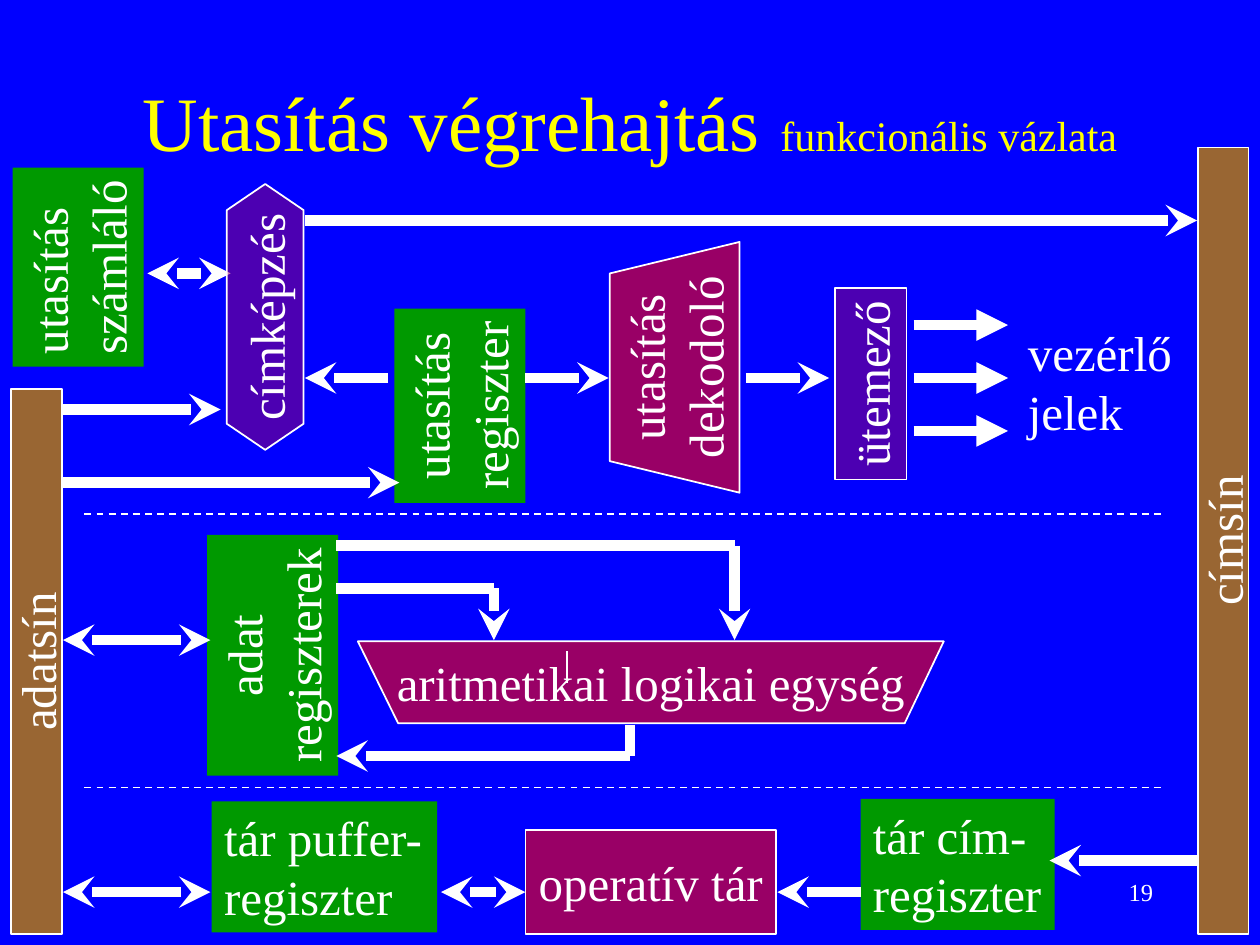
"""Build the functional sketch of instruction execution as one slide."""
from dataclasses import dataclass
from lxml.etree import SubElement
from pptx import Presentation
from pptx.dml.color import RGBColor
from pptx.enum.dml import MSO_LINE
from pptx.enum.shapes import MSO_CONNECTOR, MSO_SHAPE
from pptx.enum.text import MSO_ANCHOR, MSO_AUTO_SIZE, PP_ALIGN
from pptx.oxml.ns import qn
from pptx.util import Inches, Pt


@dataclass(frozen=True)
class Theme:
    """Colours, type sizes and line widths."""
    face: str = "Times New Roman"
    back: str = "0000FF"
    title: str = "FFFF00"
    ink: str = "FFFFFF"
    store: str = "009900"
    unit: str = "990066"
    bus: str = "996633"
    big: int = 44
    sub: int = 24
    body: int = 28
    small: int = 14
    thin: int = 1
    thick: int = 6


class Sketch:
    """Holds the theme and the current slide."""

    def __init__(self, theme, slide):
        """Keep the theme and paint the background."""
        self.theme, self.slide = theme, slide
        fill = slide.background.fill
        fill.solid()
        fill.fore_color.rgb = RGBColor.from_string(theme.back)

    def letter(self, shape, rows, align, anchor=MSO_ANCHOR.MIDDLE, wrap=False, grow=False):
        """Fill a shape with rows of (text, size, colour) runs."""
        frame = shape.text_frame
        frame.word_wrap = wrap
        frame.vertical_anchor = anchor
        frame.auto_size = MSO_AUTO_SIZE.SHAPE_TO_FIT_TEXT if grow else MSO_AUTO_SIZE.NONE
        for i, row in enumerate(rows):
            para = frame.add_paragraph() if i else frame.paragraphs[0]
            para.alignment = align
            for text, size, tint in row:
                run = para.add_run()
                run.text = text
                run.font.name = self.theme.face
                run.font.size = Pt(size)
                run.font.color.rgb = RGBColor.from_string(tint)

    def plain(self, lines):
        """Turn lines of text into rows in the body style."""
        return [[(line, self.theme.body, self.theme.ink)] for line in lines]

    def label(self, at, rows, align=PP_ALIGN.LEFT, **style):
        """Add a text box."""
        box = self.slide.shapes.add_textbox(*map(Inches, at))
        self.letter(box, rows, align, **style)

    def paint(self, shape, tint, edge=True, clear=False):
        """Set fill, outline and shadow."""
        shape.shadow.inherit = False
        shape.fill.solid()
        shape.fill.fore_color.rgb = RGBColor.from_string(tint)
        if clear:
            color = shape._element.spPr.find(qn("a:solidFill")).find(qn("a:srgbClr"))
            SubElement(color, qn("a:alpha"), val="50000")
        if edge:
            shape.line.color.rgb = RGBColor.from_string(self.theme.ink)
            shape.line.width = Pt(self.theme.thin)
        else:
            shape.line.fill.background()

    def block(self, at, lines, tint, turn=True, kind=MSO_SHAPE.RECTANGLE,
              edge=True, clear=False, align=PP_ALIGN.CENTER, **style):
        """Add a preset shape, turned to read upward if asked."""
        shape = self.slide.shapes.add_shape(kind, *map(Inches, at))
        shape.rotation = 270 if turn else 0
        self.paint(shape, tint, edge, clear)
        self.letter(shape, self.plain(lines), align, **style)
        return shape

    def store(self, at, lines, **style):
        """Add a green register."""
        self.block(at, lines, self.theme.store, edge=False,
                   anchor=MSO_ANCHOR.TOP, grow=True, **style)

    def wedge(self, points, lines, turn=False):
        """Add a trapezoid from its corners."""
        first, *rest = [(Inches(x), Inches(y)) for x, y in points]
        pen = self.slide.shapes.build_freeform(*first)
        pen.add_line_segments(rest, close=True)
        shape = pen.convert_to_shape()
        self.paint(shape, self.theme.unit)
        self.letter(shape, self.plain(lines), PP_ALIGN.CENTER)
        if turn:
            shape._element.txBody.bodyPr.set("vert", "vert270")

    def line(self, x1, y1, x2, y2, tip=None, both=False, thin=False, dash=False):
        """Add a straight line with an optional tip at the end or both ends."""
        link = self.slide.shapes.add_connector(
            MSO_CONNECTOR.STRAIGHT, *map(Inches, (x1, y1, x2, y2)))
        link.line.color.rgb = RGBColor.from_string(self.theme.ink)
        link.line.width = Pt(self.theme.thin if thin else self.theme.thick)
        if dash:
            link.line.dash_style = MSO_LINE.DASH
        pen = link._element.spPr.find(qn("a:ln"))
        if both:
            SubElement(pen, qn("a:headEnd"), type=tip)
        if tip:
            SubElement(pen, qn("a:tailEnd"), type=tip)
        SubElement(link._element.spPr, qn("a:effectLst"))


def main():
    """Draw the slide and save it."""
    deck = Presentation()
    deck.slide_width, deck.slide_height = Inches(10), Inches(7.5)
    look = Theme()
    art = Sketch(look, deck.slides.add_slide(deck.slide_layouts[6]))

    art.label((0.75, 0.33, 8.5, 1.25),
              [[("Utasítás végrehajtás ", look.big, look.title),
                ("funkcionális vázlata", look.sub, look.title)]],
              PP_ALIGN.CENTER, wrap=True)

    art.store((-0.17, 1.6, 1.58, 1.04), ("utasítás", "számláló"), align=PP_ALIGN.LEFT)
    art.store((2.88, 2.7, 1.54, 1.04), ("utasítás", "regiszter"))
    art.block((6.15, 2.76, 1.52, 0.57), ("ütemező",), look.unit, clear=True,
              anchor=MSO_ANCHOR.TOP, grow=True)
    art.label((8.06, 2.51, 1.34, 1.04), art.plain(("vezérlő", "jelek")),
              anchor=MSO_ANCHOR.TOP, grow=True)
    art.store((1.21, 4.68, 1.91, 1.04), ("adat", "regiszterek"))
    art.store((1.68, 6.36, 1.79, 1.04), ("tár puffer-", "regiszter"),
              turn=False, align=PP_ALIGN.LEFT)
    art.store((6.83, 6.34, 1.54, 1.04), ("tár cím-", "regiszter"),
              turn=False, align=PP_ALIGN.LEFT)
    art.wedge([(5.87, 3.91), (5.87, 1.92), (4.84, 2.17), (4.84, 3.66)],
              ("utasítás", "dekodoló"), turn=True)
    art.wedge([(2.84, 5.09), (7.49, 5.09), (7.18, 5.74), (3.16, 5.74)],
              ("aritmetikai logikai egység",))
    art.block((6.59, 4.09, 6.24, 0.4), ("címsín",), look.bus)
    art.block((-1.87, 5.05, 4.32, 0.4), ("adatsín",), look.bus)
    art.block((4.17, 6.59, 1.99, 0.82), ("operatív tár",), look.unit, turn=False)

    for ends in ((5, 5.75, 5, 6), (3.92, 4.67, 2.67, 4.67), (5.83, 4.33, 2.67, 4.33)):
        art.line(*ends)
    for y in (2.58, 3, 3.42):
        art.line(7.25, y, 8, y, "triangle")
    for ends in ((4.17, 3, 4.83, 3), (5, 6, 2.67, 6), (6.83, 7.08, 6.17, 7.08),
                 (0.5, 3.83, 3.17, 3.83), (3.08, 3, 2.42, 3), (5.92, 3, 6.58, 3),
                 (0.5, 3.25, 1.75, 3.25), (2.42, 1.75, 9.5, 1.75),
                 (3.92, 4.67, 3.92, 5.08), (5.83, 4.33, 5.83, 5.08),
                 (9.5, 6.83, 8.33, 6.83)):
        art.line(*ends, "stealth")
    for x1, x2, y in ((4.17, 3.5, 7.08), (1.67, 0.5, 5.08),
                      (1.67, 0.5, 7.08), (1.83, 1.17, 2.17)):
        art.line(x1, y, x2, y, "stealth", both=True)
    art.line(4.5, 5.17, 4.5, 5.42, thin=True)
    for y in (4.08, 6.25):
        art.line(0.67, y, 9.25, y, thin=True, dash=True)

    hexa = art.block((1.05, 2.21, 2.11, 0.61), ("címképzés",), look.unit,
                     kind=MSO_SHAPE.HEXAGON, clear=True)
    hexa.adjustments[0] = 0.34
    art.label((7.17, 6.83, 2.08, 0.5), [[("19", look.small, look.ink)]],
              PP_ALIGN.RIGHT, wrap=True)
    deck.save("out.pptx")


if __name__ == "__main__":
    main()
